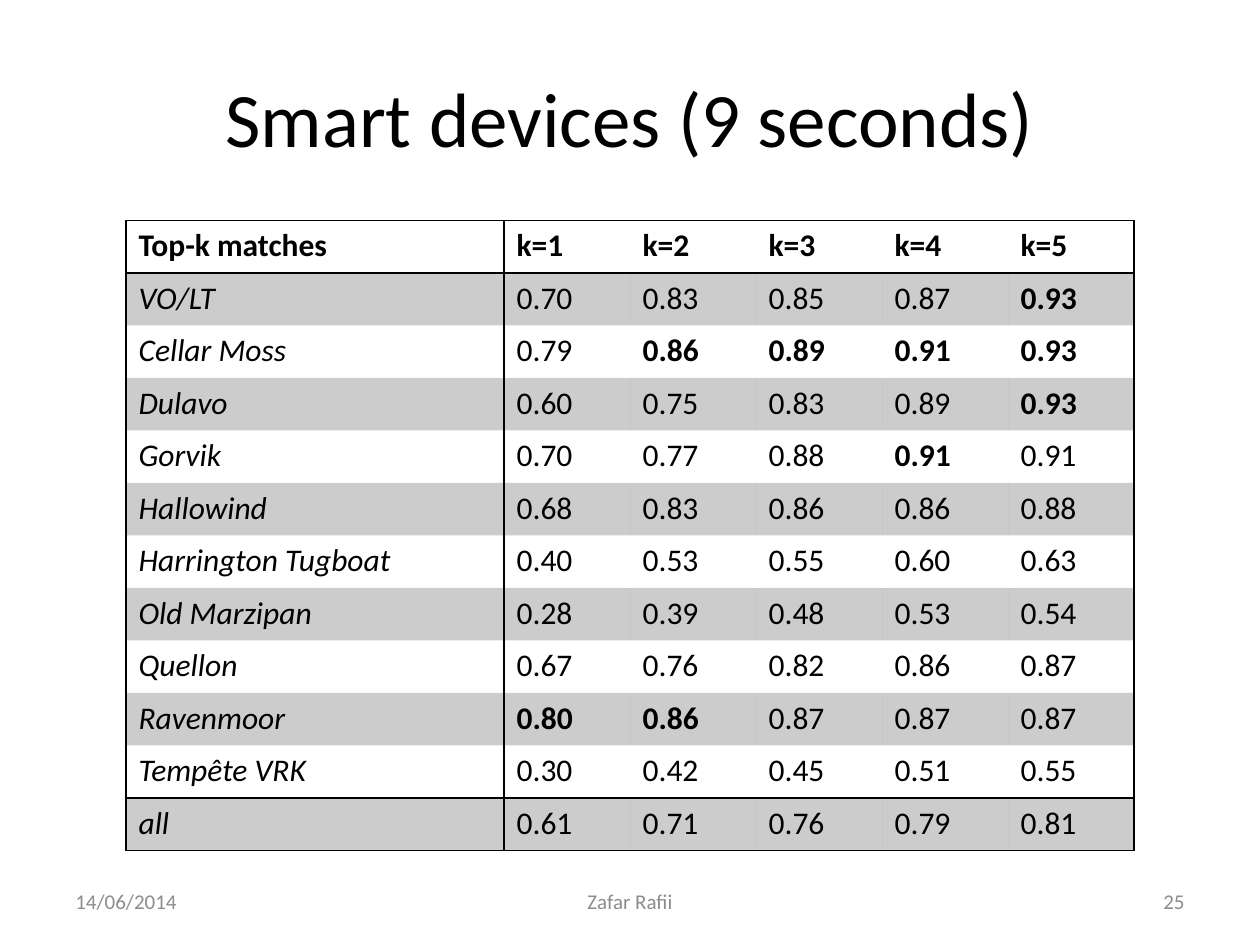
from lxml import etree
from pptx import Presentation
from pptx.dml.color import RGBColor
from pptx.enum import text
from pptx.oxml import ns
from pptx.util import Inches, Pt

BLACK = "000000"
GREY = "8C8C8C"
ALIGN = text.PP_ALIGN

HEADINGS = ["Top-k matches", "k=1", "k=2", "k=3", "k=4", "k=5"]
SCORES = [
    ("VO/LT", 0.70, 0.83, 0.85, 0.87, 0.93),
    ("Cellar Moss", 0.79, 0.86, 0.89, 0.91, 0.93),
    ("Dulavo", 0.60, 0.75, 0.83, 0.89, 0.93),
    ("Gorvik", 0.70, 0.77, 0.88, 0.91, 0.91),
    ("Hallowind", 0.68, 0.83, 0.86, 0.86, 0.88),
    ("Harrington Tugboat", 0.40, 0.53, 0.55, 0.60, 0.63),
    ("Old Marzipan", 0.28, 0.39, 0.48, 0.53, 0.54),
    ("Quellon", 0.67, 0.76, 0.82, 0.86, 0.87),
    ("Ravenmoor", 0.80, 0.86, 0.87, 0.87, 0.87),
    ("Tempête VRK", 0.30, 0.42, 0.45, 0.51, 0.55),
    ("all", 0.61, 0.71, 0.76, 0.79, 0.81),
]


def color(value):
    return RGBColor.from_string(value)


def write(frame, content, size=18, ink=BLACK, bold=False, italic=False, align=ALIGN.LEFT):
    paragraph = frame.paragraphs[0]
    paragraph.alignment = align
    run = paragraph.add_run()
    run.text = content
    font = run.font
    font.name, font.size = "Calibri", Pt(size)
    font.bold, font.italic = bold, italic
    font.color.rgb = color(ink)


def add_text(slide, box, content, **style):
    frame = slide.shapes.add_textbox(*map(Inches, box)).text_frame
    frame.word_wrap = True
    frame.vertical_anchor = text.MSO_ANCHOR.MIDDLE
    write(frame, content, **style)


def shade(cell, shaded):
    if not shaded:
        cell.fill.background()
        return
    cell.fill.solid()
    cell.fill.fore_color.rgb = color(BLACK)
    tint = cell._tc.tcPr.find(".//" + ns.qn("a:srgbClr"))
    etree.SubElement(tint, ns.qn("a:alpha"), val="20000")


def set_borders(cell, sides):
    properties = cell._tc.get_or_add_tcPr()
    for position, side in enumerate("LRTB"):
        line = etree.Element(ns.qn(f"a:ln{side}"), w=str(Pt(1)))
        if side in sides:
            fill = etree.SubElement(line, ns.qn("a:solidFill"))
            etree.SubElement(fill, ns.qn("a:srgbClr"), val=BLACK)
        else:
            etree.SubElement(line, ns.qn("a:noFill"))
        properties.insert(position, line)


def ruled_sides(row, column, last_row, last_column):
    sides = ""
    if column in (0, 1):
        sides += "L"
    if column in (0, last_column):
        sides += "R"
    if row in (0, 1, last_row):
        sides += "T"
    if row in (0, last_row - 1, last_row):
        sides += "B"
    return sides


def add_scores(slide, box):
    left, top, width, height = box
    row_count, column_count = len(SCORES) + 1, len(HEADINGS)
    table = slide.shapes.add_table(row_count, column_count, *map(Inches, box)).table
    table.first_row = table.horz_banding = False
    unit = width / (column_count + 2)
    for index, column in enumerate(table.columns):
        column.width = Inches(unit if index else 3 * unit)
    for row in table.rows:
        row.height = Inches(height / row_count)

    best = [max(scores) for scores in list(zip(*SCORES))[1:]]
    for r, values in enumerate([HEADINGS, *SCORES]):
        for c, value in enumerate(values):
            cell = table.cell(r, c)
            is_score = r > 0 and c > 0
            write(
                cell.text_frame,
                f"{value:.2f}" if is_score else value,
                bold=r == 0 or (is_score and value == best[c - 1]),
                italic=r > 0 and c == 0,
            )
            shade(cell, r % 2 == 1)
            set_borders(cell, ruled_sides(r, c, row_count - 1, column_count - 1))


def add_footer(slide, box):
    left, top, width, height = box
    side, middle = 2.33, 3.17
    parts = [
        (left, side, "14/06/2014", ALIGN.LEFT),
        (left + (width - middle) / 2, middle, "Zafar Rafii", ALIGN.CENTER),
        (left + width - side, side, "25", ALIGN.RIGHT),
    ]
    for x, part_width, content, align in parts:
        add_text(slide, (x, top, part_width, height), content, size=12, ink=GREY, align=align)


def main():
    deck = Presentation()
    deck.slide_width, deck.slide_height = Inches(10), Inches(7.5)
    slide = deck.slides.add_slide(deck.slide_layouts[6])
    add_text(slide, (0.5, 0.3, 9, 1.25), "Smart devices (9 seconds)", size=44, align=ALIGN.CENTER)
    add_scores(slide, (1, 1.75, 8, 5))
    add_footer(slide, (0.5, 6.95, 9, 0.4))
    deck.save("out.pptx")


if __name__ == "__main__":
    main()
